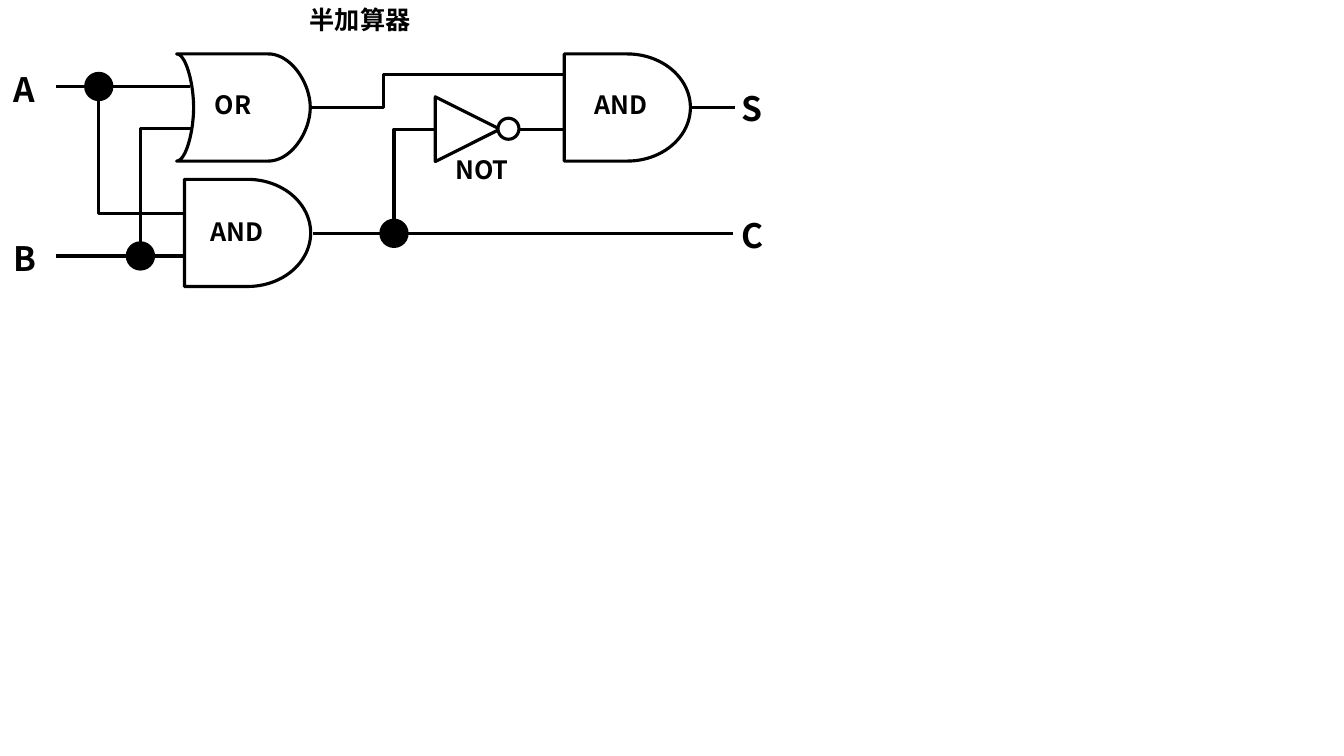
"""Build a slide with the logic circuit of a half adder."""
from lxml.etree import SubElement
from pptx import Presentation
from pptx.dml.color import RGBColor
from pptx.enum.shapes import MSO_CONNECTOR, MSO_SHAPE
from pptx.enum.text import MSO_ANCHOR, MSO_AUTO_SIZE, PP_ALIGN
from pptx.oxml.ns import qn
from pptx.util import Cm, Pt

BLACK = RGBColor(0, 0, 0)
WHITE = RGBColor(255, 255, 255)
FONT = "Noto Sans CJK JP"
FRAME = {"word_wrap": False, "auto_size": MSO_AUTO_SIZE.SHAPE_TO_FIT_TEXT,
         "vertical_anchor": MSO_ANCHOR.TOP,
         "margin_left": Cm(0.25), "margin_right": Cm(0.25),
         "margin_top": Cm(0.13), "margin_bottom": Cm(0.13)}
GATE_W, GATE_H = 3.18, 2.7
DOT = 0.66
TOP_GATE, LOW_GATE = 1.36, 4.52
IN_X, OUT_X = 1.4, 18.47
A_Y, B_Y, C_Y = 2.18, 6.45, 5.88
S_Y, NOT_Y = TOP_GATE + GATE_H / 2, 3.26
A_DOT, B_DOT, C_DOT = 2.49, 3.54, 9.93
CARRY_X, SUM_X = 4.65, 14.22


def set_all(obj, values):
    for name, value in values.items():
        setattr(obj, name, value)


def place(sp, left, top, width, height):
    set_all(sp, {"left": Cm(left), "top": Cm(top),
                 "width": Cm(width), "height": Cm(height)})


def paint(sp, fill):
    sp.shadow.inherit = False
    sp.fill.solid()
    sp.fill.fore_color.rgb = fill
    sp.line.color.rgb = BLACK
    sp.line.width = Pt(2.25)


def write(sp, text, size, align=PP_ALIGN.LEFT):
    tf = sp.text_frame
    set_all(tf, FRAME)
    p = tf.paragraphs[0]
    set_all(p, {"alignment": align, "line_spacing": 1.0, "space_before": Pt(0)})
    r = p.add_run()
    r.text = text
    set_all(r.font, {"name": FONT, "size": Pt(size), "bold": True})
    r.font.color.rgb = BLACK
    SubElement(r.font._element, qn("a:ea"), typeface=FONT)


def add_label(slide, text, left, top, width, height, size):
    sp = slide.shapes.add_textbox(Cm(left), Cm(top), Cm(width), Cm(height))
    write(sp, text, size)


def add_part(slide, kind, left, top, width, height, fill=WHITE):
    sp = slide.shapes.add_shape(kind, Cm(left), Cm(top), Cm(width), Cm(height))
    paint(sp, fill)
    return sp


def add_wire(slide, x1, y1, x2, y2, bend=None):
    kind = MSO_CONNECTOR.STRAIGHT if bend is None else MSO_CONNECTOR.ELBOW
    cx = slide.shapes.add_connector(kind, Cm(x1), Cm(y1), Cm(x2), Cm(y2))
    cx.line.color.rgb = BLACK
    cx.line.width = Pt(2.25)
    spPr = cx._element.spPr
    SubElement(spPr, qn("a:effectLst"))
    if bend is not None:
        avLst = spPr.find(qn("a:prstGeom")).get_or_add_avLst()
        SubElement(avLst, qn("a:gd"), name="adj1", fmla=f"val {round(bend * 100000)}")


def curve(p0, p1, p2, p3, steps=24):
    for i in range(1, steps + 1):
        t = i / steps
        u = 1 - t
        yield tuple(u**3 * a + 3 * u * u * t * b + 3 * u * t * t * c + t**3 * d
                    for a, b, c, d in zip(p0, p1, p2, p3))


def arc(x, tip):
    """Return the points of an arc from the top of the OR gate to its bottom."""
    k = 0.55
    start, end = (x, TOP_GATE), (tip, S_Y)
    half = [start, *curve(start, (x + (tip - x) * k, TOP_GATE),
                          (tip, S_Y - GATE_H / 2 * (1 - k)), end)]
    return half + [(px, 2 * S_Y - py) for px, py in reversed(half[:-1])]


def add_or_gate(slide, left, dent, shoulder, nose):
    outline = arc(shoulder, nose) + arc(left, dent)[::-1]
    points = [(Cm(x), Cm(y)) for x, y in outline]
    fb = slide.shapes.build_freeform(*points[0])
    fb.add_line_segments(points[1:], close=True)
    paint(fb.convert_to_shape(), WHITE)


def main():
    prs = Presentation()
    prs.slide_width, prs.slide_height = Cm(33.87), Cm(19.05)
    slide = prs.slides.add_slide(prs.slide_layouts[5])
    title = slide.shapes.title
    place(title, 7.54, -0.02, 3.07, 1.02)
    write(title, "半加算器", 18, PP_ALIGN.CENTER)

    add_or_gate(slide, 4.45, 4.88, 6.76, 7.82)
    for left, top in ((CARRY_X, LOW_GATE), (SUM_X, TOP_GATE)):
        add_part(slide, MSO_SHAPE.FLOWCHART_DELAY, left, top, GATE_W, GATE_H)
    add_part(slide, MSO_SHAPE.ISOSCELES_TRIANGLE, 10.97, 2.44, 1.63, 1.63).rotation = 90
    add_part(slide, MSO_SHAPE.OVAL, 12.55, 2.98, 0.53, 0.53)
    for x, y in ((A_DOT, A_Y), (B_DOT, B_Y), (C_DOT, C_Y)):
        add_part(slide, MSO_SHAPE.OVAL, x - DOT / 2, y - DOT / 2, DOT, DOT, BLACK)

    for x1, x2, y in ((IN_X, 4.79, A_Y), (IN_X, CARRY_X, B_Y), (7.88, OUT_X, C_Y),
                      (13.08, SUM_X, NOT_Y), (17.4, 18.53, S_Y)):
        add_wire(slide, x1, y, x2, y)
    add_wire(slide, 7.82, S_Y, SUM_X, 1.88, bend=0.29)
    for x1, y1, x2, y2 in ((A_DOT, A_Y, CARRY_X, 5.37), (B_DOT, B_Y, 4.82, 3.23),
                           (C_DOT, C_Y, 10.97, NOT_Y)):
        add_wire(slide, x1, y1, x2, y2, bend=0)

    for text, left, top, width in (("OR", 5.16, 2.13, 1.6), ("AND", 5.05, 5.31, 2.16),
                                   ("AND", 14.73, 2.13, 2.16), ("NOT", 11.23, 3.76, 2.13)):
        add_label(slide, text, left, top, width, 1.14, 18)
    for text, left, top in (("A", 0.1, 1.6), ("B", 0.1, 5.87),
                            ("S", 18.44, 2.08), ("C", 18.44, 5.28)):
        add_label(slide, text, left, top, 1.23, 1.42, 24)
    prs.save("out.pptx")


if __name__ == "__main__":
    main()
